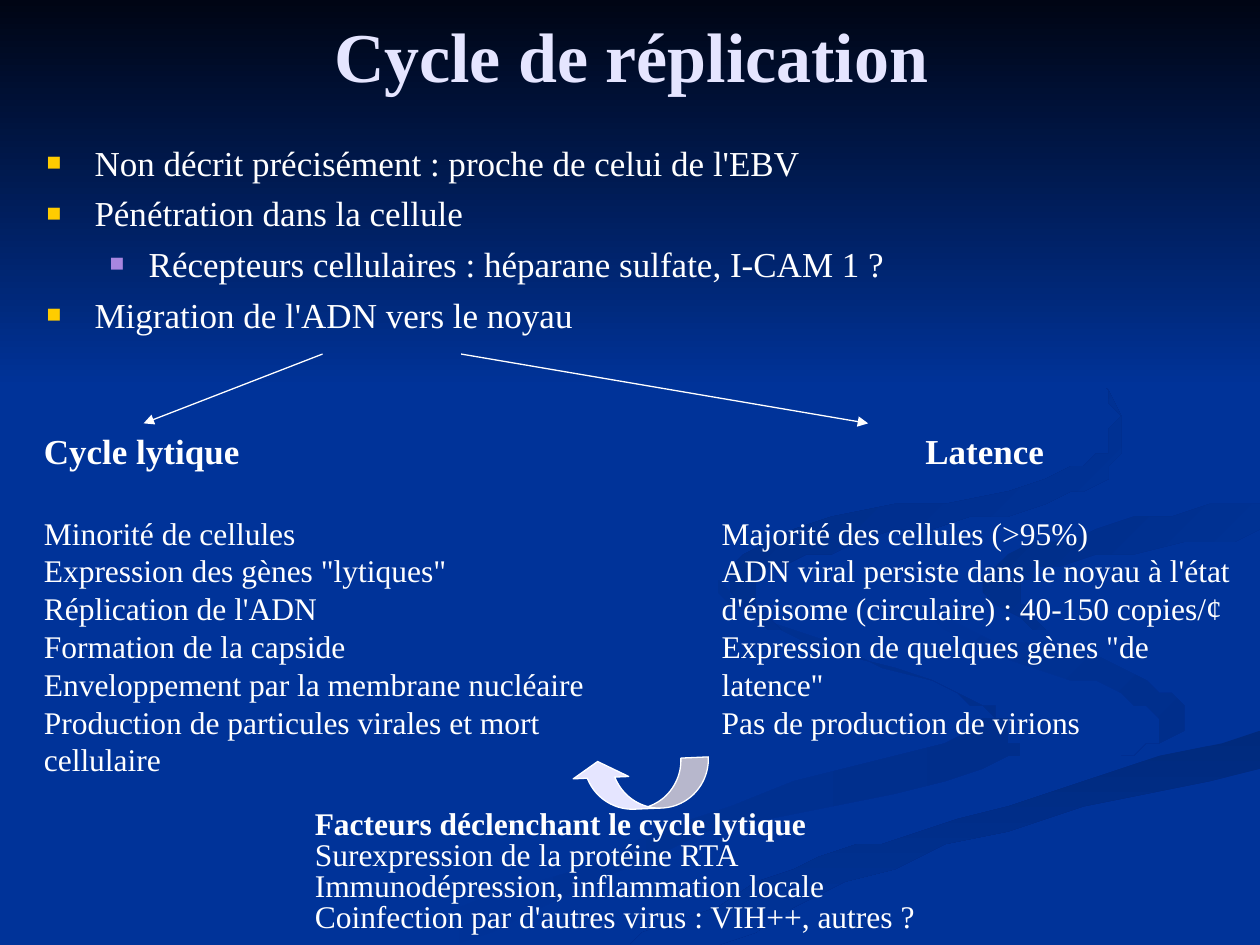
from dataclasses import dataclass
from typing import Any
from lxml.etree import SubElement
from pptx import Presentation
from pptx.dml.color import RGBColor
from pptx.enum.shapes import MSO_CONNECTOR as Connector, MSO_SHAPE as Preset
from pptx.enum.text import MSO_ANCHOR as Anchor, MSO_AUTO_SIZE as AutoSize, PP_ALIGN as Align
from pptx.oxml.ns import qn
from pptx.util import Inches, Pt

CELL = Inches(0.1)
COLUMNS, ROWS = 100, 75
SMOOTH_STEPS = 5
FONT = "Times New Roman"
WHITE, LAVENDER, BLUE = "FFFFFF", "E5E5FF", "003399"
GOLD, PURPLE = "FFCC00", "A886E0"
Point = tuple[float, float]


@dataclass(frozen=True)
class Box:
    left: float
    top: float
    width: float
    height: float

    def lengths(self) -> list[int]:
        return [cells(v) for v in (self.left, self.top, self.width, self.height)]


@dataclass(frozen=True)
class Line:
    text: str
    size: float = 18
    bold: bool = False
    before: float = 0
    align: Any = Align.LEFT
    spacing: float = 1.0
    color: str = WHITE
    level: int = 0
    bullet: str = ""


@dataclass(frozen=True)
class Ribbon:
    colors: tuple[str, str]
    angle: int
    points: list[Point]


def cells(count: float) -> int:
    return round(count * CELL)


def rgb(value: str) -> RGBColor:
    return RGBColor.from_string(value)


def apply(target: Any, values: dict[str, Any]) -> None:
    for name, value in values.items():
        setattr(target, name, value)


def add_bullet(para: Any, color: str, level: int) -> None:
    properties = para._p.get_or_add_pPr()
    margin, hang = [(0.38, 0.38), (0.81, 0.31)][level]
    properties.set("marL", str(Inches(margin)))
    properties.set("indent", str(-Inches(hang)))
    tint = SubElement(properties, qn("a:buClr"))
    SubElement(tint, qn("a:srgbClr"), val=color)
    SubElement(properties, qn("a:buSzPct"), val="70000")
    SubElement(properties, qn("a:buFont"), typeface=FONT)
    SubElement(properties, qn("a:buChar"), char="■")


def write(frame: Any, lines: list[Line], anchor: Any = Anchor.TOP) -> None:
    apply(frame, {"word_wrap": True, "auto_size": AutoSize.NONE, "vertical_anchor": anchor})
    for index, line in enumerate(lines):
        para = frame.add_paragraph() if index else frame.paragraphs[0]
        if line.bullet:
            add_bullet(para, line.bullet, line.level)
        apply(para, {"level": line.level, "alignment": line.align, "space_after": Pt(0),
                     "space_before": Pt(line.before if index else 0), "line_spacing": line.spacing})
        span = para.add_run()
        span.text = line.text
        apply(span.font, {"name": FONT, "size": Pt(line.size), "bold": line.bold})
        span.font.color.rgb = rgb(line.color)


def fill_placeholder(holder: Any, box: Box, lines: list[Line], anchor: Any = Anchor.TOP) -> None:
    apply(holder, dict(zip(("left", "top", "width", "height"), box.lengths())))
    write(holder.text_frame, lines, anchor)


def add_text(page: Any, box: Box, lines: list[Line]) -> None:
    write(page.shapes.add_textbox(*box.lengths()).text_frame, lines)


def blend(a: float, b: float, c: float, d: float, t: float) -> float:
    return b + t / 2 * (c - a + t * (2 * a - 5 * b + 4 * c - d + t * (3 * (b - c) + d - a)))


def smooth(points: list[Point]) -> list[Point]:
    count = len(points)
    curve = []
    for index in range(count):
        near = [points[(index + shift) % count] for shift in (-1, 0, 1, 2)]
        for step in range(SMOOTH_STEPS):
            x, y = [blend(*axis, step / SMOOTH_STEPS) for axis in zip(*near)]
            curve.append((min(x, COLUMNS), min(y, ROWS)))
    return curve


def paint(page: Any, shape: Any, colors: tuple[str, str], angle: int, layer: int) -> None:
    shape.shadow.inherit = False
    shape.line.fill.background()
    shape.fill.gradient()
    shape.fill.gradient_angle = -angle % 360
    for stop, color in zip(shape.fill.gradient_stops, colors):
        stop.color.rgb = rgb(color)
    page.shapes._spTree.insert(2 + layer, shape._element)


def add_backdrop(page: Any) -> None:
    page.background.fill.solid()
    page.background.fill.fore_color.rgb = rgb(BLUE)
    for layer, ribbon in enumerate(RIBBONS):
        start, *rest = smooth(ribbon.points)
        builder = page.shapes.build_freeform(*start, scale=CELL)
        builder.add_line_segments(rest, close=True)
        paint(page, builder.convert_to_shape(), ribbon.colors, ribbon.angle, layer)
    sky = page.shapes.add_shape(Preset.RECTANGLE, *Box(0, 0, COLUMNS, 30.8).lengths())
    paint(page, sky, ("000514", BLUE), 90, len(RIBBONS))


def add_arrow(page: Any, start: Point, end: Point) -> None:
    arrow = page.shapes.add_connector(Connector.STRAIGHT, *map(cells, start + end))
    arrow.line.width = Pt(0.75)
    arrow.line.color.rgb = rgb(WHITE)
    SubElement(arrow.line._get_or_add_ln(), qn("a:tailEnd"), type="triangle")
    SubElement(arrow._element.spPr, qn("a:effectLst"))


def add_return_arrow(page: Any, box: Box) -> None:
    shape = page.shapes.add_shape(Preset.CURVED_DOWN_ARROW, *box.lengths())
    shape.rotation = 177.6
    shape.shadow.inherit = False
    shape.fill.solid()
    shape.fill.fore_color.rgb = rgb(LAVENDER)
    shape.line.color.rgb = rgb(WHITE)
    shape.line.width = Pt(0.75)
    for index, share in enumerate((0.56, 1.13, 0.33)):
        shape.adjustments[index] = share


def column(heading: str, align: Any, items: list[str]) -> list[Line]:
    return [Line(heading, 20, True, align=align)] + [
        Line(item, before=0 if index else 24) for index, item in enumerate(items)]


RIBBONS = [
    Ribbon((BLUE, "002E8B"), 0, [
        (76, 55), (62, 50), (57, 46), (60, 49), (76, 55), (77, 58), (58, 64), (30, 75),
        (36, 75), (56, 66), (78, 61), (80, 58)]),
    Ribbon((BLUE, "002E8B"), 45, [
        (94, 57), (89, 53), (77, 50), (72, 46), (77, 51), (89, 55), (92, 58), (89, 60)]),
    Ribbon(("002A7D", BLUE), 90, [
        (50, 75), (57, 75), (75, 67), (100, 61), (100, 58), (76, 65), (63, 69)]),
    Ribbon(("002D86", BLUE), 45, [
        (78, 46), (83, 50), (81, 47), (84, 45), (100, 42), (100, 40), (87, 42)]),
    Ribbon(("002B82", BLUE), 45, [
        (68, 43), (83, 40), (89, 36), (87, 30), (76, 23), (87, 30), (88, 35), (83, 38),
        (63, 42), (58, 46), (62, 50), (60, 46)]),
]
STEPS = [
    ("Non décrit précisément : proche de celui de l'EBV", 0),
    ("Pénétration dans la cellule", 0),
    ("Récepteurs cellulaires : héparane sulfate, I-CAM 1 ?", 1),
    ("Migration de l'ADN vers le noyau", 0)]
LYTIC = ["Minorité de cellules", "Expression des gènes \"lytiques\"", "Réplication de l'ADN",
         "Formation de la capside", "Enveloppement par la membrane nucléaire",
         "Production de particules virales et mort cellulaire"]
LATENT = ["Majorité des cellules (>95%)",
          "ADN viral persiste dans le noyau à l'état d'épisome (circulaire) : 40-150 copies/¢",
          "Expression de quelques gènes \"de latence\"", "Pas de production de virions"]
TRIGGERS = ["Facteurs déclenchant le cycle lytique", "Surexpression de la protéine RTA",
            "Immunodépression, inflammation locale",
            "Coinfection par d'autres virus : VIH++, autres ?"]


def main() -> None:
    deck = Presentation()
    apply(deck, {"slide_width": cells(COLUMNS), "slide_height": cells(ROWS)})
    page = deck.slides.add_slide(deck.slide_layouts[1])
    add_backdrop(page)
    title, body = page.placeholders
    fill_placeholder(title, Box(5.1, -1.9, 90, 12.5), [
        Line("Cycle de réplication", 40, True, align=Align.CENTER, color=LAVENDER)], Anchor.MIDDLE)
    fill_placeholder(body, Box(2.7, 10.7, 95.3, 16.5), [
        Line(text, 20, before=5, level=level, bullet=(GOLD, PURPLE)[level]) for text, level in STEPS])
    add_text(page, Box(2.5, 33.6, 50.6, 31.7), column("Cycle lytique", Align.LEFT, LYTIC))
    add_text(page, Box(56.3, 33.6, 43.7, 28.7), column("Latence", Align.CENTER, LATENT))
    add_arrow(page, (25.6, 28.1), (11.4, 33.6))
    add_arrow(page, (36.6, 28.1), (68.9, 33.6))
    add_text(page, Box(24, 65.1, 70.1, 9.3), [
        Line(text, bold=not index, before=11.2, spacing=0.3) for index, text in enumerate(TRIGGERS)])
    add_return_arrow(page, Box(45.3, 60.3, 11, 3.9))
    deck.save("out.pptx")


if __name__ == "__main__":
    main()
